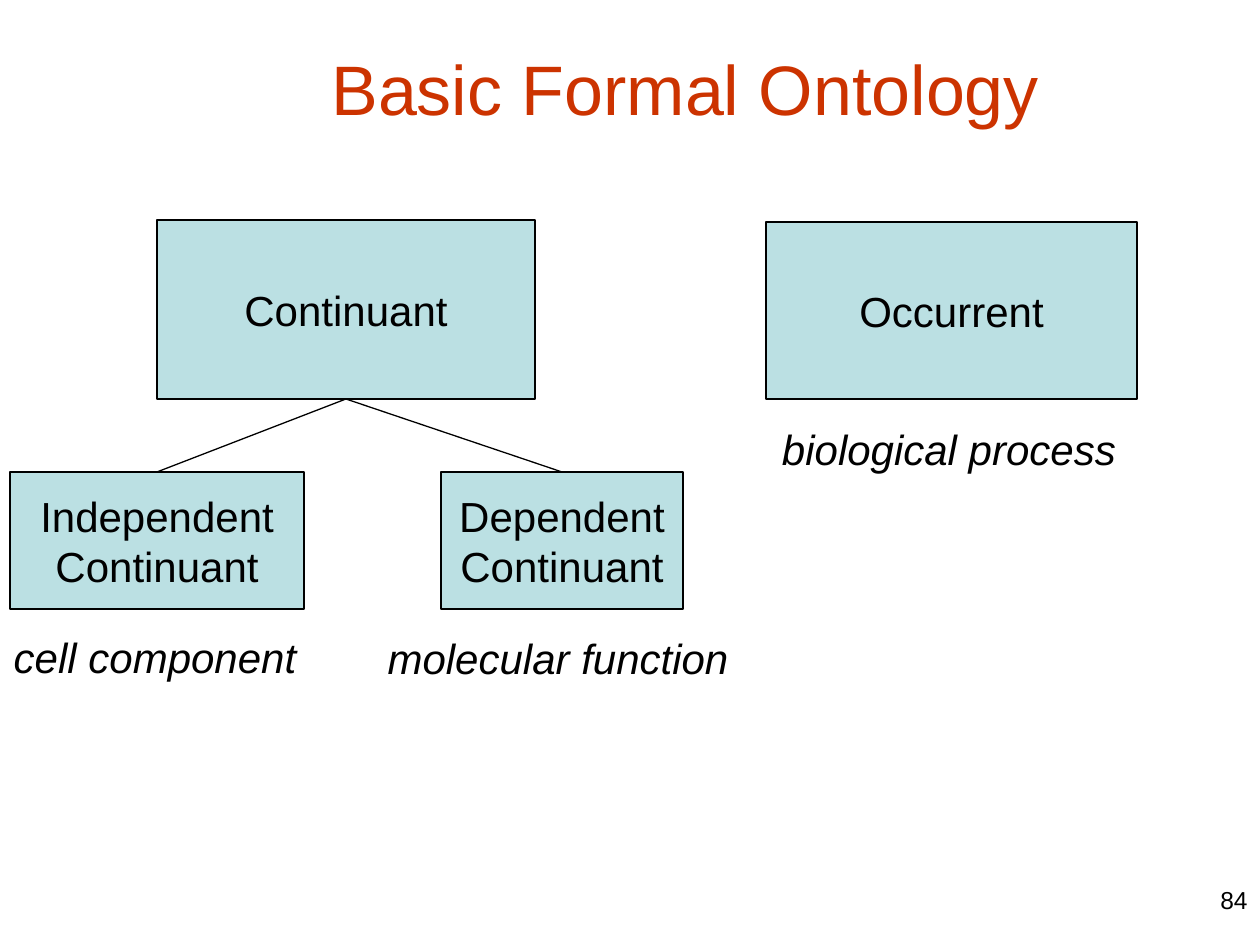
import pptx
import pptx.util
import pptx.dml.color
import pptx.enum.shapes
import pptx.enum.text
import pptx.oxml

EMU_PER_PX = 914400 / 126
COLORS = {"box": "BBE0E3", "ink": "000000", "title": "CC3300"}
FONT = "Arial"
ALIGN = pptx.enum.text.PP_ALIGN
ANCHOR = pptx.enum.text.MSO_ANCHOR

# Content: places are left, top, width, height in px
BOXES = {
    "continuant": (["Continuant"], (157, 220, 378, 179)),
    "occurrent": (["Occurrent"], (766, 222, 371, 177)),
    "independent": (["Independent", "Continuant"], (10, 472, 294, 137)),
    "dependent": (["Dependent", "Continuant"], (441, 472, 242, 137)),
}
LINKS = [("continuant", "independent"), ("continuant", "dependent")]
EXAMPLES = [
    ("cell component", (-6, 625, 322, 63)),
    ("biological process", (765, 417, 368, 63)),
    ("molecular function", (374, 626, 368, 63)),
]
TITLE = ("Basic Formal Ontology", (319, 39, 760, 97))
NUMBER = ("84", (966, 879, 294, 66))


def px(n):
    return pptx.util.Emu(round(n * EMU_PER_PX))


def rgb(name):
    return pptx.dml.color.RGBColor.from_string(COLORS[name])


def write(sp, lines, size=24, color="ink", align=ALIGN.CENTER,
          italic=False, anchor=ANCHOR.TOP, wrap=True):
    tf = sp.text_frame
    tf.word_wrap = wrap
    tf.vertical_anchor = anchor
    for i, line in enumerate(lines):
        p = tf.add_paragraph() if i else tf.paragraphs[0]
        p.text = line
        p.alignment = align
        p.font.name = FONT
        p.font.size = pptx.util.Pt(size)
        p.font.italic = italic
        p.font.color.rgb = rgb(color)


def outline(sp):
    sp.line.color.rgb = rgb("ink")
    sp.line.width = pptx.util.Pt(0.75)


def add_box(s, lines, place):
    sp = s.shapes.add_shape(pptx.enum.shapes.MSO_SHAPE.RECTANGLE, *map(px, place))
    sp.shadow.inherit = False
    sp.fill.solid()
    sp.fill.fore_color.rgb = rgb("box")
    outline(sp)
    write(sp, lines, anchor=ANCHOR.MIDDLE, wrap=False)


def add_link(s, parent, child):
    left, top, width, height = BOXES[parent][1]
    start = (left + width / 2, top + height)
    left, top, width, height = BOXES[child][1]
    end = (left + width / 2, top)
    sp = s.shapes.add_connector(pptx.enum.shapes.MSO_CONNECTOR.STRAIGHT,
                                *map(px, start + end))
    outline(sp)
    sp._element.spPr.append(pptx.oxml.parse_xml(
        '<a:effectLst xmlns:a="http://schemas.openxmlformats.org/drawingml/2006/main"/>'))


def add_text(s, text, place, **style):
    write(s.shapes.add_textbox(*map(px, place)), [text], **style)


def main():
    prs = pptx.Presentation()
    prs.slide_width, prs.slide_height = px(1260), px(945)
    s = prs.slides.add_slide(prs.slide_layouts[6])

    # Hierarchy
    for lines, place in BOXES.values():
        add_box(s, lines, place)
    for parent, child in LINKS:
        add_link(s, parent, child)

    # Examples under the boxes
    for text, place in EXAMPLES:
        add_text(s, text, place, italic=True)

    # Title and slide number
    add_text(s, *TITLE, size=40, color="title", align=ALIGN.LEFT, wrap=False)
    add_text(s, *NUMBER, size=14, align=ALIGN.RIGHT)

    prs.save("out.pptx")


if __name__ == "__main__":
    main()
